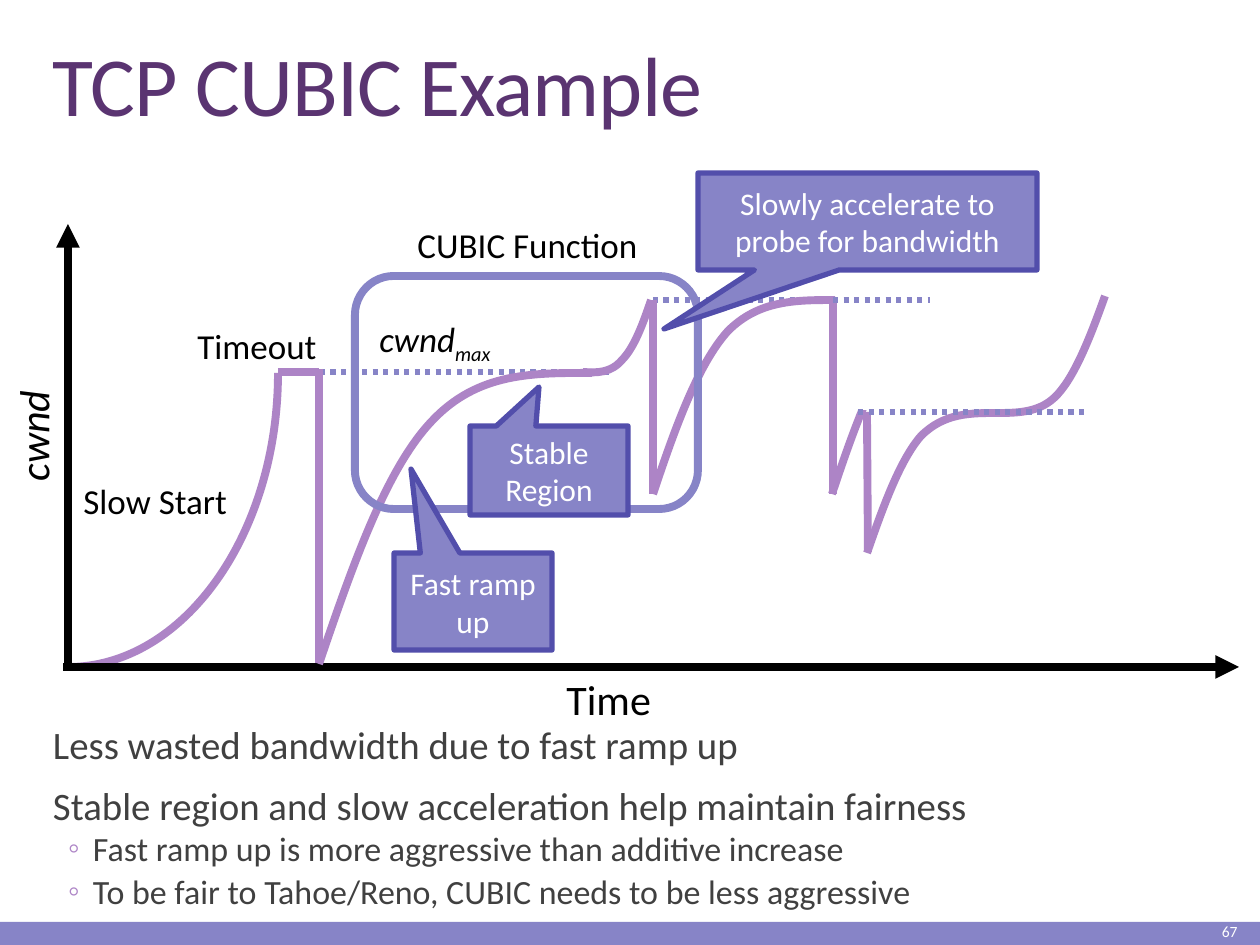
from dataclasses import dataclass

from lxml import etree
from pptx import Presentation
from pptx.dml.color import RGBColor
from pptx.enum import dml, shapes, text
from pptx.oxml.ns import qn
from pptx.util import Emu, Pt

PX = 914400 / 126  # EMU in one px


@dataclass(frozen=True)
class Theme:
    font: str = "Calibri"
    title: str = "5A3471"
    body: str = "404040"
    ink: str = "000000"
    paper: str = "FFFFFF"
    accent: str = "8784C7"
    edge: str = "524EAB"
    curve: str = "AD84C6"
    title_size: float = 48
    body_size: float = 22.2
    sub_size: float = 19.4
    axis_size: float = 24
    label_size: float = 20
    callout_size: float = 18
    number_size: float = 8.9
    thick: float = 4.5
    thin: float = 3


THEME = Theme()

BULLETS = [
    (0, "Less wasted bandwidth due to fast ramp up"),
    (0, "Stable region and slow acceleration help maintain fairness"),
    (1, "Fast ramp up is more aggressive than additive increase"),
    (1, "To be fair to Tahoe/Reno, CUBIC needs to be less aggressive"),
]

# Curves: a start point, then three points for each Bézier segment
SLOW_START = [(278, 373), (278, 534), (184, 667), (68, 667)]
FIRST_RAMP = [(319, 664), (352, 567), (386, 469), (432, 421),
              (478, 372), (534, 373), (592, 373)]
FIRST_PROBE = [(651, 300), (643, 324), (634, 348), (622, 360),
               (611, 373), (597, 373), (583, 372)]
SECOND_RAMP = [(653, 494), (675, 428), (698, 364), (728, 331),
               (759, 300), (796, 300), (835, 300)]
THIRD_RAMP = [(x + 179, y) for x, y in SECOND_RAMP]
LAST_RAMP = [(867, 553), (883, 507), (900, 460), (921, 436),
             (944, 413), (970, 413), (998, 413)]
LAST_PROBE = [(1105, 296), (1091, 335), (1076, 374), (1058, 394),
              (1041, 413), (1018, 413), (994, 413)]


def px(*values):
    return [Emu(round(value * PX)) for value in values]


def rgb(value):
    return RGBColor.from_string(value)


def set_attributes(target, values):
    for name, value in values.items():
        setattr(target, name, value)


def add_run(paragraph, words, size, color, **font_values):
    run = paragraph.add_run()
    run.text = words
    set_attributes(run.font, {"name": THEME.font, "size": Pt(size), **font_values})
    run.font.color.rgb = rgb(color)
    return run


def set_line(line, color, width):
    line.color.rgb = rgb(color)
    line.width = Pt(width)


def place(shape, box):
    set_attributes(shape, dict(zip(("left", "top", "width", "height"), px(*box))))


def fill_title(shape, words):
    place(shape, (40, 39, 1194, 101))
    set_attributes(shape.text_frame, {"vertical_anchor": text.MSO_ANCHOR.BOTTOM,
                                      "auto_size": text.MSO_AUTO_SIZE.NONE})
    paragraph = shape.text_frame.paragraphs[0]
    set_attributes(paragraph, {"alignment": text.PP_ALIGN.LEFT, "line_spacing": 0.85})
    run = add_run(paragraph, words, THEME.title_size, THEME.title)
    run.font._element.set("spc", "-50")


def set_bullet(paragraph, margin, indent, mark):
    properties = paragraph._p.get_or_add_pPr()
    properties.set("marL", str(px(margin)[0]))
    properties.set("indent", str(px(indent)[0]))
    if mark:
        color = etree.SubElement(properties, qn("a:buClr"))
        etree.SubElement(color, qn("a:srgbClr"), val=THEME.curve)
        etree.SubElement(properties, qn("a:buChar"), char=mark)
    else:
        etree.SubElement(properties, qn("a:buNone"))


def fill_body(shape, items):
    place(shape, (40, 723, 1194, 205))
    frame = shape.text_frame
    set_attributes(frame, {"margin_left": 0, "margin_right": 0,
                           "vertical_anchor": text.MSO_ANCHOR.TOP,
                           "auto_size": text.MSO_AUTO_SIZE.NONE})
    levels = [(THEME.body_size, 12, 2, (13, 0, None)),
              (THEME.sub_size, 2, 4, (53, -25, "◦"))]
    for index, (level, words) in enumerate(items):
        paragraph = frame.add_paragraph() if index else frame.paragraphs[0]
        size, before, after, bullet = levels[level]
        set_attributes(paragraph, {"level": level, "line_spacing": 0.8,
                                   "space_before": Pt(before), "space_after": Pt(after)})
        set_bullet(paragraph, *bullet)
        add_run(paragraph, words, size, THEME.body)


def add_label(slide, box, words, size=THEME.label_size, color=THEME.ink,
              align=text.PP_ALIGN.LEFT, wrap=False, rotation=0, **font_values):
    shape = slide.shapes.add_textbox(*px(*box))
    shape.rotation = rotation
    set_attributes(shape.text_frame, {"word_wrap": wrap,
                                      "vertical_anchor": text.MSO_ANCHOR.MIDDLE})
    paragraph = shape.text_frame.paragraphs[0]
    paragraph.alignment = align
    add_run(paragraph, words, size, color, **font_values)
    return paragraph


def add_box(slide, kind, box, fill=None, line=None, width=THEME.thick):
    shape = slide.shapes.add_shape(kind, *px(*box))
    shape.shadow.inherit = False
    if fill:
        shape.fill.solid()
        shape.fill.fore_color.rgb = rgb(fill)
    else:
        shape.fill.background()
    if line:
        set_line(shape.line, line, width)
    else:
        shape.line.fill.background()
    return shape


def add_line(slide, start, end, color=THEME.curve, width=THEME.thick, arrow=False):
    line = slide.shapes.add_connector(shapes.MSO_CONNECTOR.STRAIGHT, *px(*start, *end))
    set_line(line.line, color, width)
    if arrow:
        etree.SubElement(line.line._get_or_add_ln(), qn("a:tailEnd"), type="triangle")
    etree.SubElement(line._element.spPr, qn("a:effectLst"))
    return line


def add_level(slide, left, right, y):
    line = add_line(slide, (left, y), (right, y), THEME.accent, THEME.thin)
    line.line.dash_style = dml.MSO_LINE.ROUND_DOT


def add_curve(slide, points):
    builder = slide.shapes.build_freeform(*points[0], scale=PX)
    builder.add_line_segments(points[1:], close=False)
    shape = builder.convert_to_shape()
    shape.shadow.inherit = False
    shape.fill.background()
    set_line(shape.line, THEME.curve, THEME.thick)
    # Join every three straight segments into one Bézier segment
    segments = list(shape._element.iter(qn("a:lnTo")))
    for first in range(0, len(segments), 3):
        bezier = etree.Element(qn("a:cubicBezTo"))
        segments[first].addprevious(bezier)
        for segment in segments[first:first + 3]:
            bezier.append(segment[0])
            segment.getparent().remove(segment)


def add_callout(slide, box, tip, lines):
    shape = add_box(slide, shapes.MSO_SHAPE.RECTANGULAR_CALLOUT, box,
                    THEME.accent, THEME.edge, THEME.thin)
    left, top, width, height = box
    shape.adjustments[0] = (tip[0] - left - width / 2) / width
    shape.adjustments[1] = (tip[1] - top - height / 2) / height
    frame = shape.text_frame
    set_attributes(frame, {"word_wrap": True, "vertical_anchor": text.MSO_ANCHOR.MIDDLE})
    for index, words in enumerate(lines):
        paragraph = frame.add_paragraph() if index else frame.paragraphs[0]
        paragraph.alignment = text.PP_ALIGN.CENTER
        add_run(paragraph, words, THEME.callout_size, THEME.paper)


def main():
    presentation = Presentation()
    presentation.slide_width, presentation.slide_height = px(1260, 945)
    slide = presentation.slides.add_slide(presentation.slide_layouts[1])

    # Footer, title and list
    add_box(slide, shapes.MSO_SHAPE.RECTANGLE, (0, 922, 1260, 23), THEME.accent)
    fill_title(slide.shapes.title, "TCP CUBIC Example")
    fill_body(slide.placeholders[1], BULLETS)
    add_label(slide, (1114, 917, 136, 28), "67", THEME.number_size, THEME.paper,
              text.PP_ALIGN.RIGHT, wrap=True)

    # Labels
    add_level(slide, 320, 614, 372)
    add_level(slide, 653, 805, 300)
    add_label(slide, (554, 667, 118, 64), "Time", THEME.axis_size)
    add_label(slide, (-30, 399, 125, 64), "cwnd", THEME.axis_size, rotation=270, italic=True)
    add_label(slide, (185, 318, 152, 55), "Timeout")
    add_label(slide, (71, 473, 186, 55), "Slow Start")
    add_label(slide, (348, 217, 359, 55), "CUBIC Function",
              align=text.PP_ALIGN.CENTER, wrap=True)
    maximum = add_label(slide, (359, 314, 152, 55), "cwnd",
                        align=text.PP_ALIGN.CENTER, italic=True)
    subscript = add_run(maximum, "max", THEME.label_size, THEME.ink, italic=True)
    subscript.font._element.set("baseline", "-25000")

    # Axes and window size up to the third loss
    add_curve(slide, SLOW_START)
    add_line(slide, (278, 372), (319, 372))
    add_line(slide, (319, 369), (319, 663))
    add_line(slide, (68, 667), (68, 224), THEME.ink, arrow=True)
    add_line(slide, (653, 300), (653, 494))
    add_line(slide, (63, 667), (1239, 667), THEME.ink, arrow=True)
    for points in (FIRST_RAMP, FIRST_PROBE, SECOND_RAMP):
        add_curve(slide, points)
    add_line(slide, (833, 300), (833, 494))
    add_curve(slide, THIRD_RAMP)

    # The third ramp is cut short by a cover, then the last one follows
    add_box(slide, shapes.MSO_SHAPE.RECTANGLE, (847, 292, 188, 118), THEME.paper)
    add_level(slide, 833, 930, 300)
    add_line(slide, (867, 412), (868, 552))
    add_curve(slide, LAST_RAMP)
    add_curve(slide, LAST_PROBE)
    add_level(slide, 858, 1085, 412)

    # Frame and callouts
    add_box(slide, shapes.MSO_SHAPE.ROUNDED_RECTANGLE, (355, 276, 343, 233), line=THEME.accent)
    add_callout(slide, (394, 553, 158, 97), (411, 469), ["Fast ramp up"])
    add_callout(slide, (470, 426, 158, 89), (539, 387), ["Stable", "Region"])
    add_callout(slide, (698, 173, 339, 97), (664, 329),
                ["Slowly accelerate to probe for bandwidth"])

    presentation.save("out.pptx")


if __name__ == "__main__":
    main()
